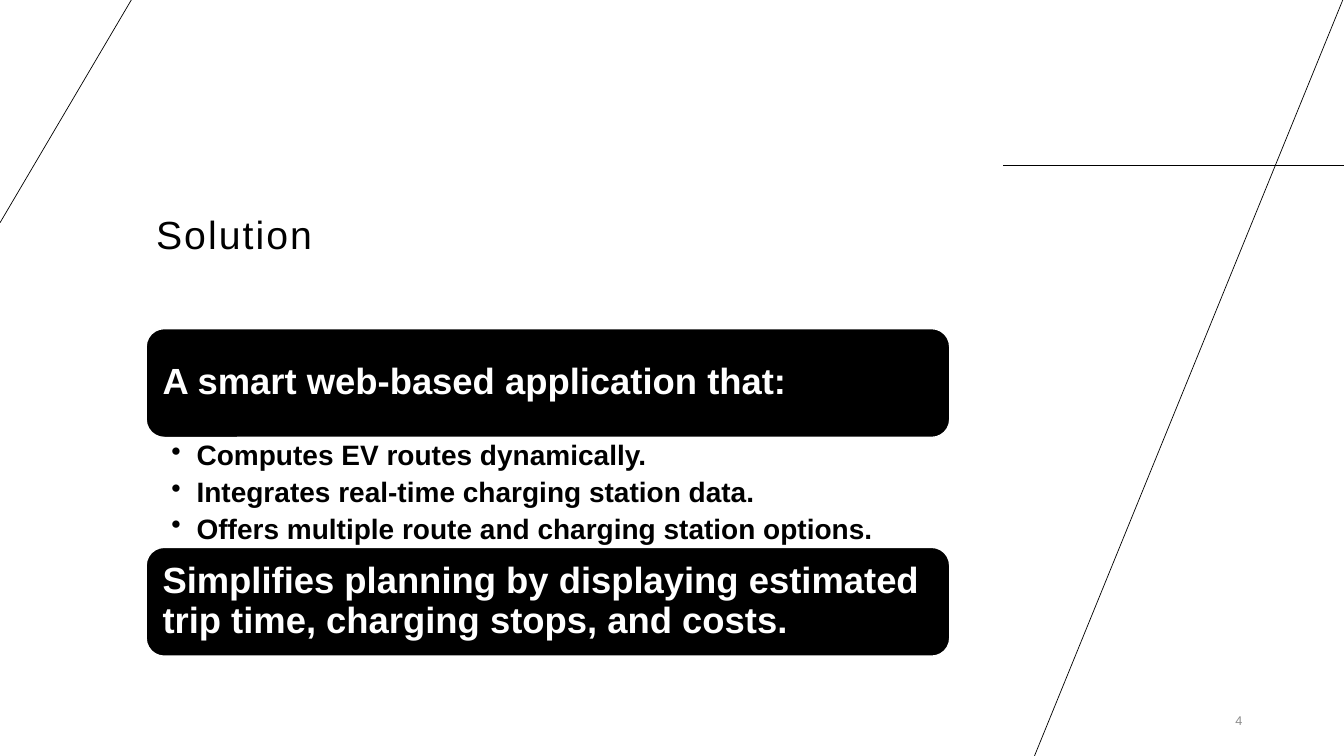
import lxml.etree
import pptx
import pptx.dml.color
import pptx.enum.shapes
import pptx.enum.text
import pptx.oxml.ns
import pptx.util

Inches, Pt = pptx.util.Inches, pptx.util.Pt
Anchor, Align = pptx.enum.text.MSO_ANCHOR, pptx.enum.text.PP_ALIGN
qn = pptx.oxml.ns.qn

BLACK = pptx.dml.color.RGBColor(0x00, 0x00, 0x00)
WHITE = pptx.dml.color.RGBColor(0xFF, 0xFF, 0xFF)
GRAY = pptx.dml.color.RGBColor(0x8C, 0x8C, 0x8C)

WIDTH, HEIGHT = 13.33, 7.5
COLUMN_LEFT, COLUMN_WIDTH = 1.45, 7.97
BANNER_HEIGHT, LIST_HEIGHT = 1.08, 1.09

RULES = [
    ((9.95, 1.64), (WIDTH, 1.64)),
    ((WIDTH, -0.03), (10.26, HEIGHT)),
    ((0, 2.21), (1.32, -0.03)),
]
FEATURES = [
    "Computes EV routes dynamically.",
    "Integrates real-time charging station data.",
    "Offers multiple route and charging station options.",
]


def set_frame(shape, anchor, side=0.1, edge=0.05):
    frame = shape.text_frame
    frame.word_wrap = True
    frame.vertical_anchor = anchor
    frame.margin_left = frame.margin_right = Inches(side)
    frame.margin_top = frame.margin_bottom = Inches(edge)
    return frame


def style(para, size, color, bold=False, align=Align.LEFT, line_spacing=0.9):
    para.alignment = align
    para.line_spacing = line_spacing
    para.font.name = "Arial"
    para.font.size = Pt(size)
    para.font.bold = bold
    para.font.color.rgb = color


def add_rule(page, start, end):
    rule = page.shapes.add_connector(
        pptx.enum.shapes.MSO_CONNECTOR.STRAIGHT, *map(Inches, start + end))
    rule.line.color.rgb = BLACK
    rule.line.width = Pt(0.5)
    lxml.etree.SubElement(rule._element.spPr, qn("a:effectLst"))


def add_title(page, box, text):
    frame = set_frame(page.shapes.add_textbox(*map(Inches, box)), Anchor.BOTTOM)
    para = frame.paragraphs[0]
    span = para.add_run()
    span.text = text
    style(para, 28, BLACK)
    span.font._element.set("spc", "150")


def add_banner(page, box, text):
    banner = page.shapes.add_shape(
        pptx.enum.shapes.MSO_SHAPE.ROUNDED_RECTANGLE, *map(Inches, box))
    banner.shadow.inherit = False
    banner.fill.solid()
    banner.fill.fore_color.rgb = BLACK
    banner.line.color.rgb = WHITE
    banner.line.width = Pt(1)
    para = set_frame(banner, Anchor.MIDDLE, 0.11, 0.11).paragraphs[0]
    para.text = text
    style(para, 26, WHITE, bold=True)


def add_features(page, box, features):
    frame = set_frame(page.shapes.add_textbox(*map(Inches, box)), Anchor.TOP, 0.25, 0.04)
    frame.margin_right = Inches(0.2)
    for index, feature in enumerate(features):
        para = frame.add_paragraph() if index else frame.paragraphs[0]
        para.text = feature
        properties = para._p.get_or_add_pPr()
        properties.set("marL", str(Inches(0.25)))
        properties.set("indent", str(Inches(-0.25)))
        lxml.etree.SubElement(properties, qn("a:buChar")).set("char", "•")
        style(para, 20, BLACK, bold=True)
        para.space_after = Pt(4.6)


def add_solution(page, left, top, width):
    """Stack a banner, the feature list and a closing banner."""
    list_top = top + BANNER_HEIGHT
    add_banner(page, (left, top, width, BANNER_HEIGHT),
               "A smart web-based application that:")
    add_features(page, (left, list_top, width, LIST_HEIGHT), FEATURES)
    add_banner(page, (left, list_top + LIST_HEIGHT, width, BANNER_HEIGHT),
               "Simplifies planning by displaying estimated trip time, "
               "charging stops, and costs.")


def add_page_number(page, box, number):
    frame = set_frame(page.shapes.add_textbox(*map(Inches, box)), Anchor.MIDDLE)
    para = frame.paragraphs[0]
    para.text = number
    style(para, 9, GRAY, align=Align.RIGHT, line_spacing=1.0)


def main():
    deck = pptx.Presentation()
    deck.slide_width, deck.slide_height = Inches(WIDTH), Inches(HEIGHT)
    page = deck.slides.add_slide(deck.slide_layouts[6])
    for start, end in RULES:
        add_rule(page, start, end)
    add_title(page, (COLUMN_LEFT, 0.29, COLUMN_WIDTH, 2.32), "Solution")
    add_solution(page, COLUMN_LEFT, 3.26, COLUMN_WIDTH)
    add_page_number(page, (11.34, 6.95, 1.08, 0.4), "4")
    deck.save("out.pptx")


if __name__ == "__main__":
    main()
